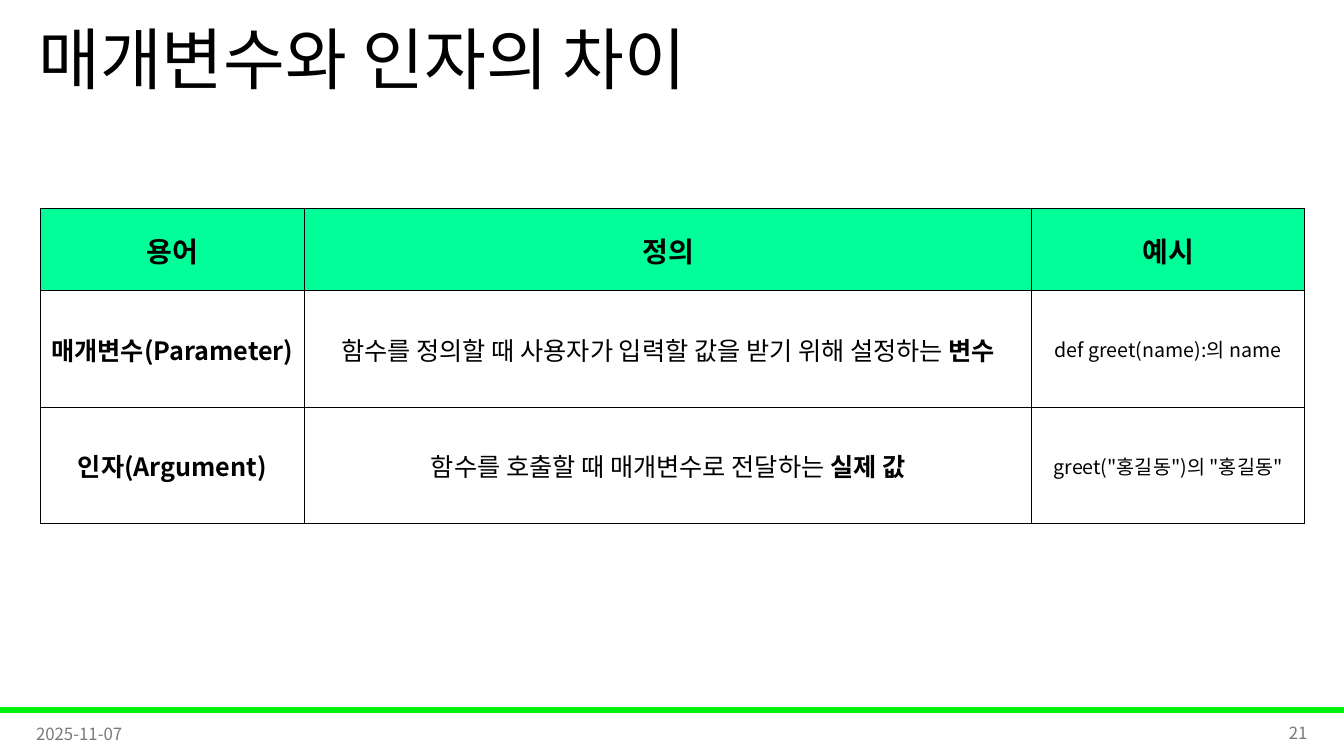
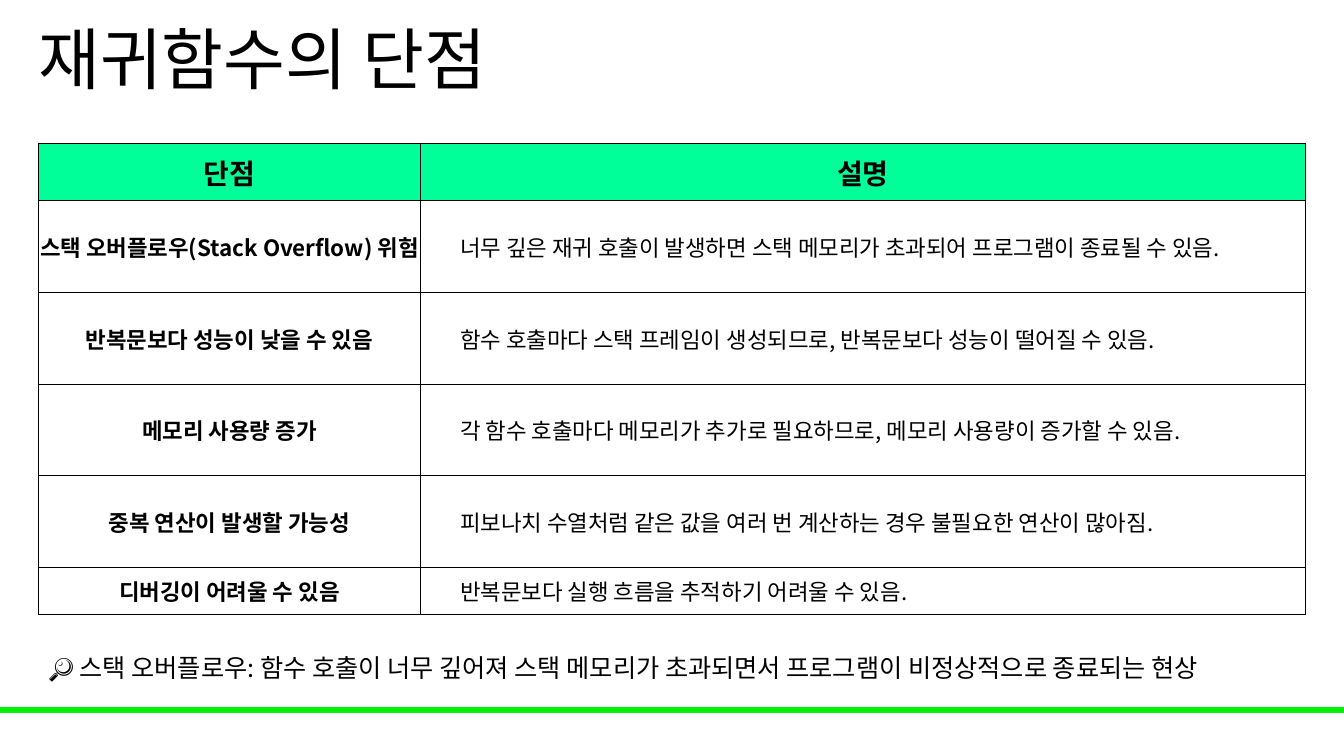
"""Build two slides with term tables on functions and recursion."""
from dataclasses import dataclass
from typing import Any

from lxml import etree
from pptx import Presentation
from pptx import util as u
from pptx.dml import color
from pptx.enum import shapes, text
from pptx.oxml import ns

FONT = "Noto Sans CJK KR"
COLORS = {"ink": "000000", "muted": "797979", "band": "00F209", "header": "00FF99"}
SLIDE_WIDTH, SLIDE_HEIGHT = 960, 540
LEFT, CENTER, RIGHT = text.PP_ALIGN.LEFT, text.PP_ALIGN.CENTER, text.PP_ALIGN.RIGHT
MIDDLE = text.MSO_ANCHOR.MIDDLE
CELL_INSET, WIDE_INSET = 0.7, 28.3


@dataclass(frozen=True)
class Frame:
    """Position and size in points."""
    left: float
    top: float
    width: float
    height: float

    def lengths(self) -> tuple[u.Length, ...]:
        """Return the four lengths for a shape."""
        return tuple(u.Pt(n) for n in (self.left, self.top, self.width, self.height))


@dataclass(frozen=True)
class Span:
    """A run of text."""
    words: str
    size: float
    bold: bool = False
    tone: str = "ink"


@dataclass(frozen=True)
class Cell:
    """Spans of a table cell with its alignment and side inset."""
    spans: tuple[Span, ...]
    align: Any = CENTER
    inset: float = CELL_INSET


@dataclass(frozen=True)
class Grid:
    """A table with a coloured header row."""
    left: float
    top: float
    columns: tuple[float, ...]
    heights: tuple[float, ...]
    header: tuple[str, ...]
    body: tuple[tuple[Cell, ...], ...]


def rgb(tone: str) -> color.RGBColor:
    """Look up a named colour."""
    return color.RGBColor.from_string(COLORS[tone])


def apply(target: Any, values: dict[str, Any]) -> None:
    """Set attributes from a dict."""
    for name, value in values.items():
        setattr(target, name, value)


def write(para: Any, spans: tuple[Span, ...], **layout: Any) -> None:
    """Write formatted spans into a paragraph."""
    apply(para, layout)
    for span in spans:
        run = para.add_run()
        run.text = span.words
        apply(run.font, {"name": FONT, "size": u.Pt(span.size), "bold": span.bold})
        run.font.color.rgb = rgb(span.tone)
        etree.SubElement(run.font._element, ns.qn("a:ea"), typeface=FONT)


def add_text(page: Any, frame: Frame, span: Span, frame_format: dict[str, Any],
             **layout: Any) -> None:
    """Add a wrapped text box."""
    box = page.shapes.add_textbox(*frame.lengths())
    apply(box.text_frame, {"word_wrap": True, **frame_format})
    write(box.text_frame.paragraphs[0], (span,), **layout)


def add_page(deck: Any, title: str) -> Any:
    """Add a slide with the shared band and title style."""
    page = deck.slides.add_slide(deck.slide_layouts[5])
    band = page.shapes.add_shape(shapes.MSO_SHAPE.RECTANGLE,
                                 *Frame(0, 505.4, SLIDE_WIDTH, 3.6).lengths())
    band.shadow.inherit = False
    band.fill.solid()
    band.fill.fore_color.rgb = rgb("band")
    band.line.color.rgb = rgb("band")
    band.line.width = u.Pt(1)
    heading = page.shapes.title
    apply(heading, dict(zip(("left", "top", "width", "height"),
                            Frame(20.2, 0, 828, 90).lengths())))
    apply(heading.text_frame, {"word_wrap": True, "vertical_anchor": MIDDLE,
                               "auto_size": text.MSO_AUTO_SIZE.NONE})
    write(heading.text_frame.paragraphs[0], (Span(title, 48),),
          alignment=LEFT, line_spacing=0.9)
    return page


def add_footer(page: Any, date: str, number: str) -> None:
    """Add the date and the page number."""
    for words, left, top, align in ((date, 18.7, 509.8, LEFT), (number, 725, 509, RIGHT)):
        add_text(page, Frame(left, top, 216, 28.8), Span(words, 12, tone="muted"),
                 {"vertical_anchor": MIDDLE}, alignment=align)


def add_borders(cell: Any) -> None:
    """Draw thin lines on all sides of a cell."""
    properties = cell._tc.get_or_add_tcPr()
    for side in ("lnL", "lnR", "lnT", "lnB"):
        line = etree.SubElement(properties, ns.qn(f"a:{side}"), w=str(u.Pt(0.5)))
        fill = etree.SubElement(line, ns.qn("a:solidFill"))
        etree.SubElement(fill, ns.qn("a:srgbClr"), val=COLORS["ink"])


def add_grid(page: Any, grid: Grid) -> None:
    """Add a bordered table."""
    header = tuple(Cell((Span(words, 20, True),)) for words in grid.header)
    rows = (header, *grid.body)
    frame = Frame(grid.left, grid.top, sum(grid.columns), sum(grid.heights))
    table = page.shapes.add_table(len(rows), len(grid.columns), *frame.lengths()).table
    apply(table, {"first_row": False, "horz_banding": False})
    for column, width in zip(table.columns, grid.columns):
        column.width = u.Pt(width)
    for row, height in zip(table.rows, grid.heights):
        row.height = u.Pt(height)
    for row_index, row_cells in enumerate(rows):
        for column_index, content in enumerate(row_cells):
            cell = table.cell(row_index, column_index)
            apply(cell, {"vertical_anchor": MIDDLE,
                         "margin_left": u.Pt(content.inset),
                         "margin_right": u.Pt(content.inset),
                         "margin_top": u.Pt(CELL_INSET), "margin_bottom": 0})
            add_borders(cell)
            if row_index == 0:
                cell.fill.solid()
                cell.fill.fore_color.rgb = rgb("header")
            else:
                cell.fill.background()
            write(cell.text_frame.paragraphs[0], content.spans, alignment=content.align)


def term_row(term: str, definition: str, key: str, example: str) -> tuple[Cell, ...]:
    """Return a term, its definition with a bold ending, and an example."""
    return (Cell((Span(term, 18, True),)),
            Cell((Span(definition, 18), Span(key, 18, True))),
            Cell((Span(example, 14),)))


def drawback_row(drawback: str, reason: str) -> tuple[Cell, ...]:
    """Return a drawback and its explanation."""
    return (Cell((Span(drawback, 16, True),)),
            Cell((Span(reason, 16),), LEFT, WIDE_INSET))


TERMS = Grid(
    28.8, 149, (188.6, 519.6, 194.7), (58.5, 83.3, 83.3), ("용어", "정의", "예시"),
    (term_row("매개변수(Parameter)",
              "함수를 정의할 때 사용자가 입력할 값을 받기 위해 설정하는 ", "변수",
              "def greet(name):의 name"),
     term_row("인자(Argument)", "함수를 호출할 때 매개변수로 전달하는 ", "실제 값",
              'greet("홍길동")의 "홍길동"')))

DRAWBACKS = Grid(
    27.4, 102.2, (272.9, 632.2), (41.2, *(65.4,) * 4, 33.6), ("단점", "설명"),
    (drawback_row("스택 오버플로우(Stack Overflow) 위험",
                  "너무 깊은 재귀 호출이 발생하면 스택 메모리가 초과되어 프로그램이 종료될 수 있음."),
     drawback_row("반복문보다 성능이 낮을 수 있음",
                  "함수 호출마다 스택 프레임이 생성되므로, 반복문보다 성능이 떨어질 수 있음."),
     drawback_row("메모리 사용량 증가",
                  "각 함수 호출마다 메모리가 추가로 필요하므로, 메모리 사용량이 증가할 수 있음."),
     drawback_row("중복 연산이 발생할 가능성",
                  "피보나치 수열처럼 같은 값을 여러 번 계산하는 경우 불필요한 연산이 많아짐."),
     drawback_row("디버깅이 어려울 수 있음",
                  "반복문보다 실행 흐름을 추적하기 어려울 수 있음.")))

OVERFLOW_NOTE = ("🔎 스택 오버플로우: 함수 호출이 너무 깊어져 스택 메모리가 초과되면서 "
                 "프로그램이 비정상적으로 종료되는 현상")


def main() -> None:
    """Build and save the deck."""
    deck = Presentation()
    apply(deck, {"slide_width": u.Pt(SLIDE_WIDTH), "slide_height": u.Pt(SLIDE_HEIGHT)})

    terms_page = add_page(deck, "매개변수와 인자의 차이")
    add_grid(terms_page, TERMS)
    add_footer(terms_page, "2025-11-07", "21")

    drawbacks_page = add_page(deck, "재귀함수의 단점")
    add_grid(drawbacks_page, DRAWBACKS)
    add_text(drawbacks_page, Frame(27.4, 451.4, 892, 36), Span(OVERFLOW_NOTE, 18),
             {"auto_size": text.MSO_AUTO_SIZE.SHAPE_TO_FIT_TEXT},
             alignment=LEFT, line_spacing=1.5)

    deck.save("out.pptx")


if __name__ == "__main__":
    main()
